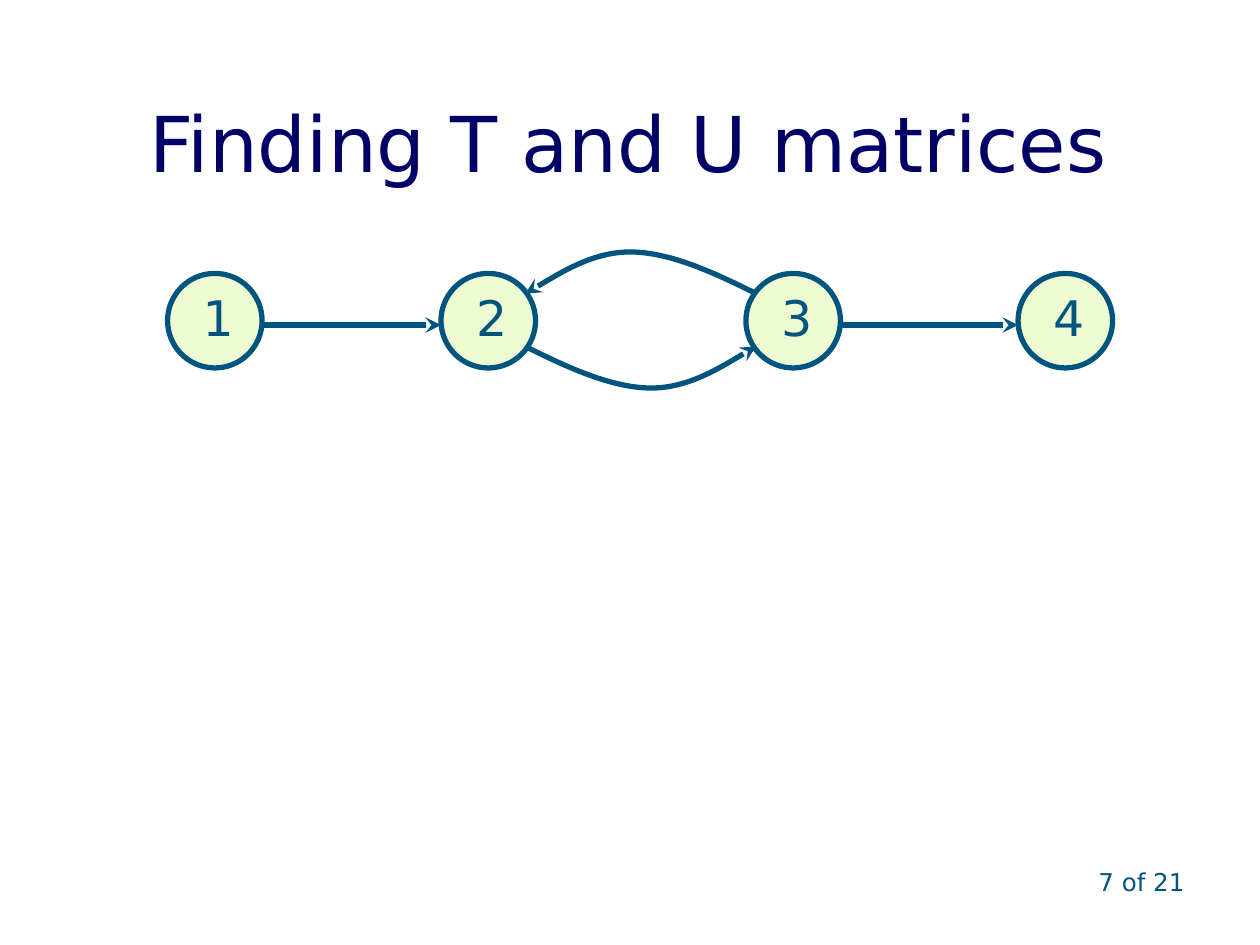
from lxml.etree import SubElement
from pptx import Presentation
from pptx.dml.color import RGBColor
from pptx.enum.shapes import MSO_CONNECTOR, MSO_SHAPE
from pptx.enum.text import MSO_ANCHOR, MSO_AUTO_SIZE, PP_ALIGN
from pptx.oxml.ns import qn
from pptx.util import Inches, Pt

NAVY = RGBColor(0x00, 0x00, 0x66)
BLUE = RGBColor(0x00, 0x54, 0x7E)
PALE_GREEN = RGBColor(0xED, 0xFA, 0xD2)

NODE_LEFTS = {"1": 1.33, "2": 3.5, "3": 5.92, "4": 8.08}
NODE_TOP, NODE_SIZE = 2.17, 0.75
EDGE_Y = 2.58
LOWER_ARC = [(4.17, 2.75), (4.51, 2.92), (4.86, 3.08), (5.17, 3.08),
             (5.47, 3.08), (5.88, 2.82), (6, 2.75)]
# The upper arc is the lower one turned half a circle.
UPPER_ARC = [(10.17 - x, 5.08 - y) for x, y in LOWER_ARC]


class GraphSlide:
    font = "DejaVu Sans"
    line_width = Pt(3)

    def __init__(self, prs):
        self.s = prs.slides.add_slide(prs.slide_layouts[5])
        self.graph = self.s.shapes.add_group_shape().shapes

    def set_text(self, sp, text, size, color, align, **frame):
        tf = sp.text_frame
        for name, value in frame.items():
            setattr(tf, name, value)
        p = tf.paragraphs[0]
        p.alignment = align
        r = p.add_run()
        r.text = text
        for name, value in {"name": self.font, "size": Pt(size)}.items():
            setattr(r.font, name, value)
        r.font.color.rgb = color
        return p

    def title(self, text):
        sp = self.s.shapes.title
        box = {"left": 0.48, "top": 0.11, "width": 9.02, "height": 1.44}
        for name, value in box.items():
            setattr(sp, name, Inches(value))
        p = self.set_text(sp, text, 44, NAVY, PP_ALIGN.CENTER, word_wrap=True,
                          vertical_anchor=MSO_ANCHOR.BOTTOM,
                          auto_size=MSO_AUTO_SIZE.NONE)
        p.line_spacing = 0.9

    def page_number(self, text):
        sp = self.s.shapes.add_textbox(
            Inches(7.17), Inches(6.83), Inches(2.33), Inches(0.5))
        self.set_text(sp, text, 14, BLUE, PP_ALIGN.RIGHT, word_wrap=True)

    def outline(self, sp):
        sp.line.color.rgb = BLUE
        sp.line.width = self.line_width

    def arrow_style(self, sp):
        """Give the line its colour, a stealth head and no shadow."""
        self.outline(sp)
        ln = sp._element.spPr.find(qn("a:ln"))
        SubElement(ln, qn("a:tailEnd"), type="stealth")
        SubElement(sp._element.spPr, qn("a:effectLst"))

    def node(self, left):
        sp = self.graph.add_shape(
            MSO_SHAPE.OVAL, Inches(left), Inches(NODE_TOP),
            Inches(NODE_SIZE), Inches(NODE_SIZE))
        sp.shadow.inherit = False
        sp.fill.solid()
        sp.fill.fore_color.rgb = PALE_GREEN
        self.outline(sp)

    def node_label(self, text, left):
        sp = self.graph.add_textbox(
            Inches(left + 0.18), Inches(NODE_TOP + 0.06),
            Inches(0.42), Inches(0.57))
        self.set_text(sp, text, 28, BLUE, PP_ALIGN.LEFT, word_wrap=False,
                      auto_size=MSO_AUTO_SIZE.SHAPE_TO_FIT_TEXT)

    def edge(self, start, end):
        sp = self.graph.add_connector(
            MSO_CONNECTOR.STRAIGHT,
            Inches(NODE_LEFTS[start] + NODE_SIZE), Inches(EDGE_Y),
            Inches(NODE_LEFTS[end]), Inches(EDGE_Y))
        self.arrow_style(sp)

    def arc(self, points):
        """Draw a Bezier arrow from a start point and triples of controls."""
        pts = [(Inches(x), Inches(y)) for x, y in points]
        builder = self.graph.build_freeform(*pts[0])
        builder.add_line_segments(pts[1:], close=False)
        sp = builder.convert_to_shape()
        outline = sp._element.spPr.find(".//" + qn("a:path"))
        segments = outline.findall(qn("a:lnTo"))
        for i in range(0, len(segments), 3):
            curve = SubElement(outline, qn("a:cubicBezTo"))
            for segment in segments[i:i + 3]:
                curve.append(segment[0])
                outline.remove(segment)
        sp.fill.background()
        self.arrow_style(sp)


def main():
    prs = Presentation()
    prs.slide_width, prs.slide_height = Inches(10), Inches(7.5)
    slide = GraphSlide(prs)
    slide.title("Finding T and U matrices")
    for left in NODE_LEFTS.values():
        slide.node(left)
    slide.edge("1", "2")
    slide.edge("3", "4")
    slide.arc(LOWER_ARC)
    slide.arc(UPPER_ARC)
    for text, left in NODE_LEFTS.items():
        slide.node_label(text, left)
    slide.page_number("7 of 21")
    prs.save("out.pptx")


if __name__ == "__main__":
    main()
